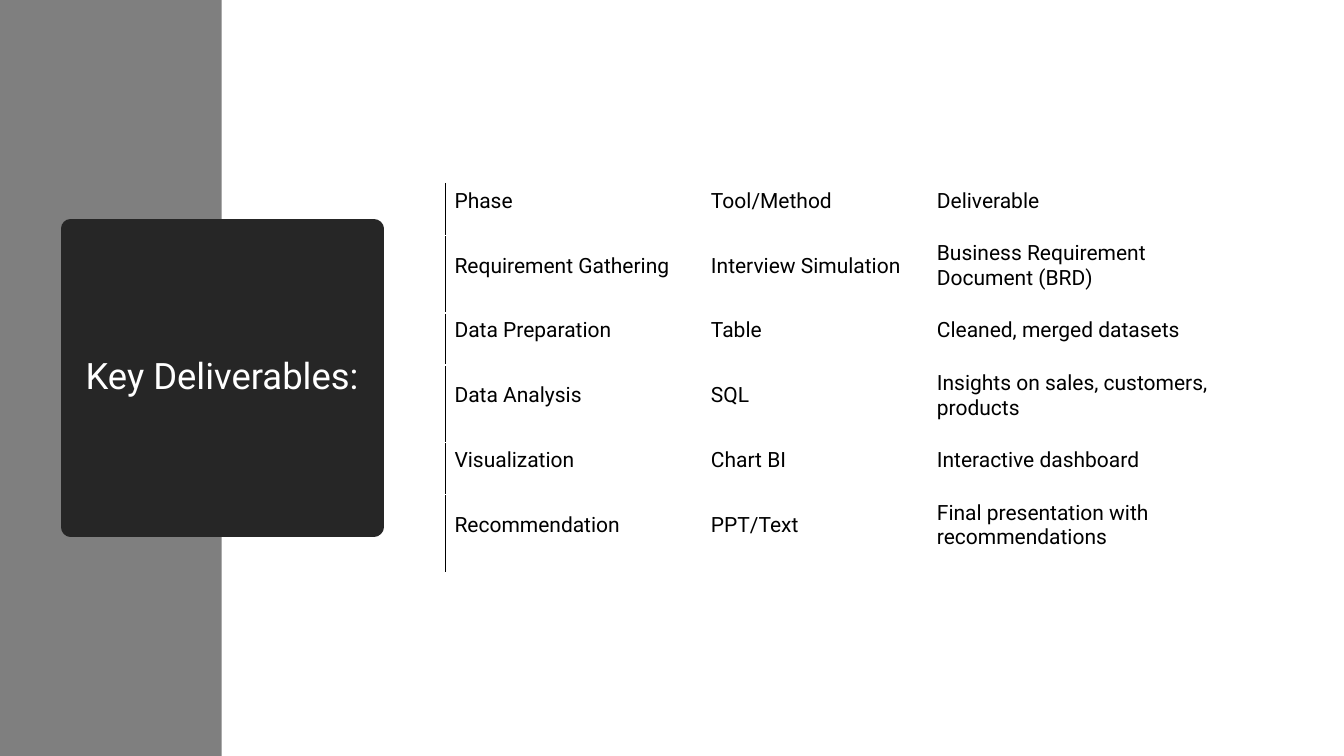
import pptx
import pptx.util
import pptx.oxml
import pptx.dml.color
import pptx.enum.shapes
import pptx.enum.text
import lxml.etree

Pt = pptx.util.Pt
MIDDLE = pptx.enum.text.MSO_ANCHOR.MIDDLE
ALIGN = pptx.enum.text.PP_ALIGN
DRAWING = "http://schemas.openxmlformats.org/drawingml/2006/main"

TITLE = "Key Deliverables:"
ROWS = [
    ("Phase", "Tool/Method", "Deliverable"),
    ("Requirement Gathering", "Interview Simulation", "Business Requirement Document (BRD)"),
    ("Data Preparation", "Table", "Cleaned, merged datasets"),
    ("Data Analysis", "SQL", "Insights on sales, customers, products"),
    ("Visualization", "Chart BI", "Interactive dashboard"),
    ("Recommendation", "PPT/Text", "Final presentation with recommendations"),
]
COLORS = {"bar": "7F7F7F", "panel": "262626", "title": "FFFFFF", "text": "000000"}
FONT = "Roboto"
PAGE_WIDTH, PAGE_HEIGHT = 960, 540
BAR_WIDTH = 158.4
PANEL = (50.4, 163.4, 216.7, 213.1)
TABLE_LEFT, TABLE_TOP = 318.2, 131
COLUMN_WIDTHS = (183.2, 161.4, 221.2)
ROW_HEIGHTS = (37.2, 55.4)


def color(name):
    return pptx.dml.color.RGBColor.from_string(COLORS[name])


def write(frame, text, size, ink, align=ALIGN.LEFT, spacing=1.0):
    frame.word_wrap = True
    frame.vertical_anchor = MIDDLE
    para = frame.paragraphs[0]
    para.alignment = align
    para.line_spacing = spacing
    span = para.add_run()
    span.text = text
    span.font.name = FONT
    span.font.size = Pt(size)
    span.font.bold = False
    span.font.color.rgb = color(ink)


def add_left_border(cell):
    border = pptx.oxml.parse_xml(
        f'<a:lnL xmlns:a="{DRAWING}" w="{Pt(0.75)}"><a:solidFill>'
        f'<a:srgbClr val="{COLORS["text"]}"/></a:solidFill></a:lnL>'
    )
    cell._tc.get_or_add_tcPr().insert(0, border)


def add_panel(page):
    panel = page.shapes.title
    panel.left, panel.top, panel.width, panel.height = map(Pt, PANEL)
    panel.fill.solid()
    panel.fill.fore_color.rgb = color("panel")
    panel.line.color.rgb = color("panel")
    panel.line.width = Pt(13.75)
    lxml.etree.SubElement(panel.line._ln, f"{{{DRAWING}}}round")
    panel.text_frame.auto_size = pptx.enum.text.MSO_AUTO_SIZE.NONE
    write(panel.text_frame, TITLE, 26, "title", align=ALIGN.CENTER, spacing=0.9)
    return panel


def add_bar(page, panel):
    bar = page.shapes.add_shape(
        pptx.enum.shapes.MSO_SHAPE.RECTANGLE, 0, 0, Pt(BAR_WIDTH), Pt(PAGE_HEIGHT)
    )
    bar.shadow.inherit = False
    bar.fill.solid()
    bar.fill.fore_color.rgb = color("bar")
    bar.line.fill.background()
    panel._element.addprevious(bar._element)


def add_deliverables(page):
    heights = [ROW_HEIGHTS[index % 2] for index in range(len(ROWS))]
    table = page.shapes.add_table(
        len(ROWS), len(COLUMN_WIDTHS), Pt(TABLE_LEFT), Pt(TABLE_TOP),
        Pt(sum(COLUMN_WIDTHS)), Pt(sum(heights)),
    ).table
    table.first_row = False
    table.horz_banding = False
    for column, width in zip(table.columns, COLUMN_WIDTHS):
        column.width = Pt(width)
    for row, height, texts in zip(table.rows, heights, ROWS):
        row.height = Pt(height)
        for cell, text in zip(row.cells, texts):
            cell.fill.background()
            cell.margin_left, cell.margin_top = Pt(6.5), Pt(2)
            cell.margin_right, cell.margin_bottom = Pt(9.4), Pt(13.7)
            write(cell.text_frame, text, 15, "text")
            cell.vertical_anchor = MIDDLE
        add_left_border(row.cells[0])


def main():
    deck = pptx.Presentation()
    deck.slide_width, deck.slide_height = Pt(PAGE_WIDTH), Pt(PAGE_HEIGHT)
    page = deck.slides.add_slide(deck.slide_layouts[5])
    panel = add_panel(page)
    add_bar(page, panel)
    add_deliverables(page)
    deck.save("out.pptx")


if __name__ == "__main__":
    main()
